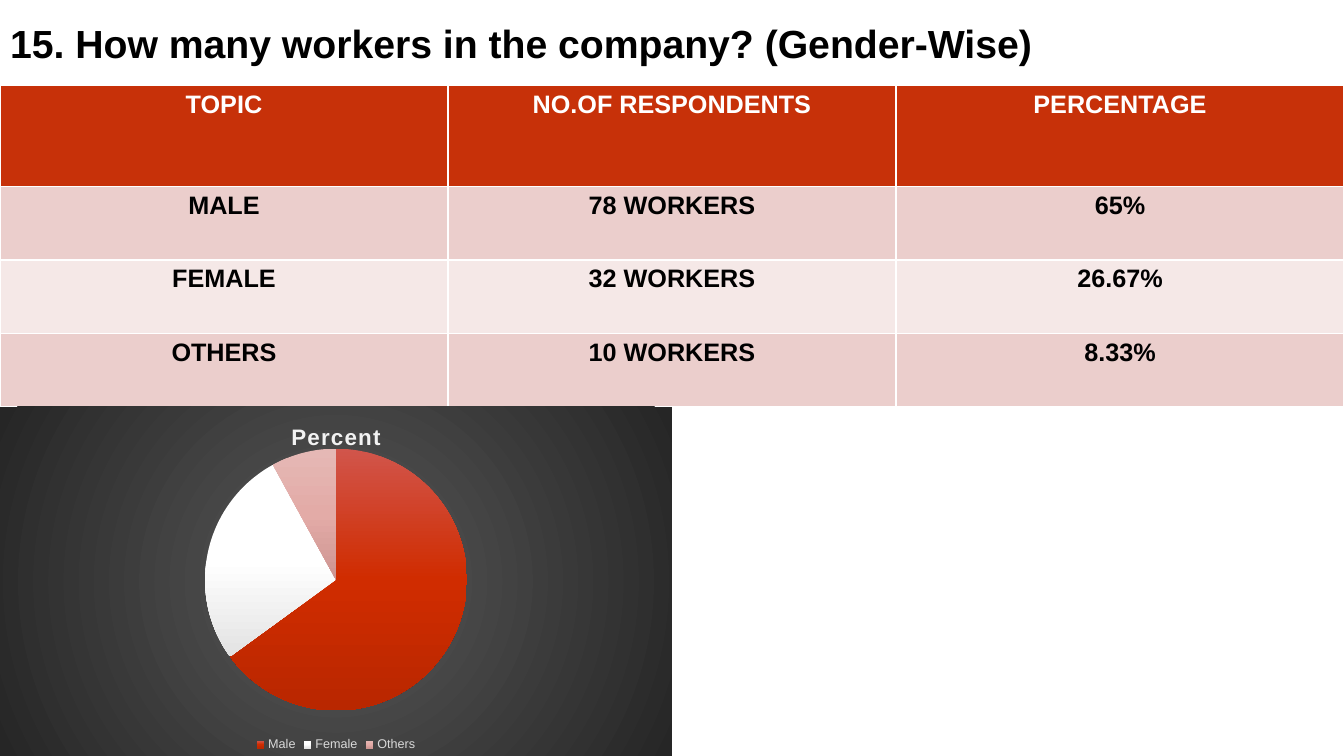
from lxml.etree import SubElement
from pptx import Presentation
from pptx.chart.data import CategoryChartData
from pptx.dml.color import RGBColor
from pptx.enum.chart import XL_CHART_TYPE as ChartType, XL_LEGEND_POSITION as LegendPosition
from pptx.enum.text import MSO_ANCHOR as Anchor, MSO_AUTO_SIZE as AutoSize, PP_ALIGN as Align
from pptx.oxml import parse_xml
from pptx.oxml.ns import nsdecls, qn
from pptx.util import Cm, Pt

PAGE_WIDTH, PAGE_HEIGHT = 33.87, 19.05
TITLE_HEIGHT = 2.16
ROW_HEIGHTS = [2.54, 1.85, 1.85, 1.85]
TABLE_ROWS = [
    ["TOPIC", "NO.OF RESPONDENTS", "PERCENTAGE"],
    ["MALE", "78 WORKERS", "65%"],
    ["FEMALE", "32 WORKERS", "26.67%"],
    ["OTHERS", "10 WORKERS", "8.33%"],
]
ROW_FILLS = ["C73109", "EBCECC", "F5E8E7", "EBCECC"]
SLICES = {
    "Male": (65, ["D1554B", "D02C00", "B92700"]),
    "Female": (27, ["FFFFFF", "FFFFFF", "E3E3E3"]),
    "Others": (8, ["E5B8B5", "E3ABA7", "CD9491"]),
}
LINEAR = '<a:lin ang="5400000" scaled="0"/>'
RADIAL = '<a:path path="circle"><a:fillToRect l="50000" t="50000" r="50000" b="50000"/></a:path>'


def color(value):
    return RGBColor.from_string(value)


def apply_font(font, size, value, bold=False):
    formats = {"name": "Arial", "size": Pt(size), "bold": bold}
    for name, setting in formats.items():
        setattr(font, name, setting)
    font.color.rgb = color(value)


def gradient(colors, direction):
    step = 100000 // (len(colors) - 1)
    stops = "".join(
        f'<a:gs pos="{index * step}"><a:srgbClr val="{value}"/></a:gs>'
        for index, value in enumerate(colors)
    )
    return parse_xml(
        f'<a:gradFill {nsdecls("a")} rotWithShape="1"><a:gsLst>{stops}</a:gsLst>{direction}</a:gradFill>'
    )


def add_title(page, left, top, width, height):
    title = page.shapes.title
    title.left, title.top, title.width, title.height = map(Cm, (left, top, width, height))
    frame = title.text_frame
    formats = {"word_wrap": True, "auto_size": AutoSize.NONE, "vertical_anchor": Anchor.MIDDLE}
    for name, setting in formats.items():
        setattr(frame, name, setting)
    para = frame.paragraphs[0]
    para.alignment = Align.LEFT
    span = para.add_run()
    span.text = "15. How many workers in the company? (Gender-Wise)"
    apply_font(span.font, 28, "000000", True)


def add_respondents(page, left, top, width, height):
    box = page.shapes.add_table(
        len(TABLE_ROWS), len(TABLE_ROWS[0]), Cm(left), Cm(top), Cm(width), Cm(height)
    )
    table = box.table
    for row_index, texts in enumerate(TABLE_ROWS):
        table.rows[row_index].height = Cm(ROW_HEIGHTS[row_index])
        for column_index, text in enumerate(texts):
            cell = table.cell(row_index, column_index)
            cell.fill.solid()
            cell.fill.fore_color.rgb = color(ROW_FILLS[row_index])
            para = cell.text_frame.paragraphs[0]
            para.alignment = Align.CENTER
            span = para.add_run()
            span.text = text
            apply_font(span.font, 18, "000000" if row_index else "FFFFFF", True)


def place_plot(chart, x, y, w, h):
    plot_area = chart.element.find(".//" + qn("c:plotArea"))
    for layout in plot_area.findall(qn("c:layout")):
        plot_area.remove(layout)
    layout = parse_xml(f'<c:layout {nsdecls("c")}><c:manualLayout/></c:layout>')
    settings = {
        "layoutTarget": "inner", "xMode": "edge", "yMode": "edge",
        "x": x, "y": y, "w": w, "h": h,
    }
    for name, setting in settings.items():
        SubElement(layout[0], qn("c:" + name)).set("val", str(setting))
    plot_area.insert(0, layout)


def add_gender_pie(page, left, top, width, height):
    data = CategoryChartData()
    data.categories = list(SLICES)
    data.add_series("Percent", [value for value, _ in SLICES.values()])
    chart = page.shapes.add_chart(
        ChartType.PIE, Cm(left), Cm(top), Cm(width), Cm(height), data
    ).chart
    apply_font(chart.font, 10, "000000")

    chart.has_title = True
    para = chart.chart_title.text_frame.paragraphs[0]
    span = para.add_run()
    span.text = "Percent"
    apply_font(span.font, 16, "F2F2F2", True)
    para.runs[0].font.fill.solid()
    span.font.color.rgb = color("F2F2F2")
    for properties in chart.element.find(".//" + qn("c:title")).iter(qn("a:rPr")):
        properties.set("spc", "100")
    chart.chart_title.include_in_layout = False

    chart.has_legend = True
    chart.legend.position = LegendPosition.BOTTOM
    chart.legend.include_in_layout = False
    apply_font(chart.legend.font, 9, "D9D9D9")
    place_plot(chart, 0, 0.12, 1, 0.75)

    series = chart.plots[0].series[0]
    for index in range(len(SLICES)):
        series.points[index].format.line.fill.background()
    points = chart.element.iter(qn("c:dPt"))
    for point, (_, colors) in zip(points, SLICES.values()):
        point.find(qn("c:spPr")).insert(0, gradient(colors, LINEAR))

    background = parse_xml(f'<c:spPr {nsdecls("c", "a")}><a:ln><a:noFill/></a:ln></c:spPr>')
    background.insert(0, gradient(["595959", "262626"], RADIAL))
    chart.element.find(qn("c:chart")).addnext(background)


def main():
    deck = Presentation()
    deck.slide_width, deck.slide_height = Cm(PAGE_WIDTH), Cm(PAGE_HEIGHT)
    page = deck.slides.add_slide(deck.slide_layouts[5])
    table_height = sum(ROW_HEIGHTS)
    chart_top = TITLE_HEIGHT + table_height
    add_title(page, 0, 0, PAGE_WIDTH, TITLE_HEIGHT)
    add_respondents(page, 0, TITLE_HEIGHT, PAGE_WIDTH, table_height)
    add_gender_pie(page, 0, chart_top, PAGE_WIDTH / 2, PAGE_HEIGHT - chart_top)
    deck.save("out.pptx")


if __name__ == "__main__":
    main()
